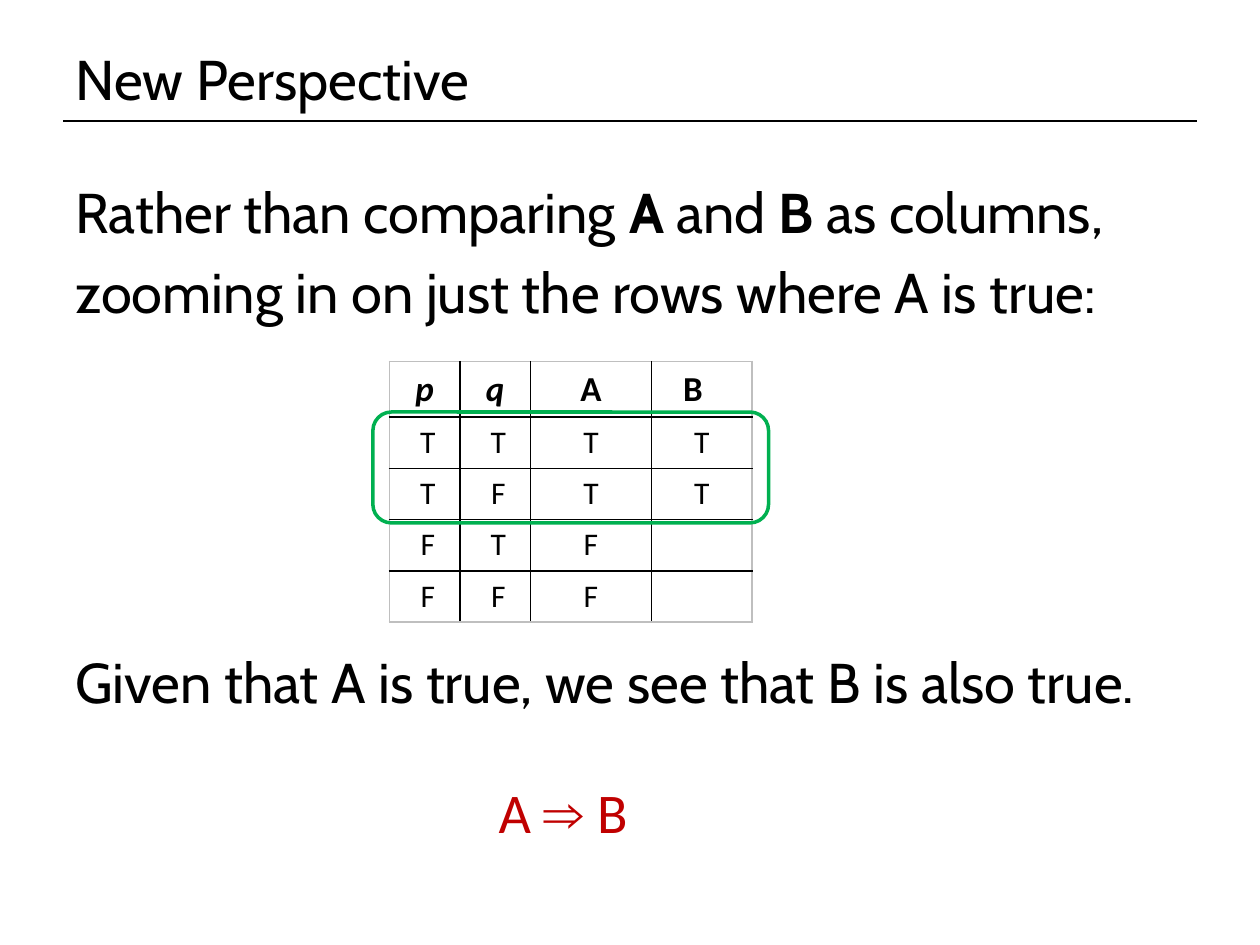
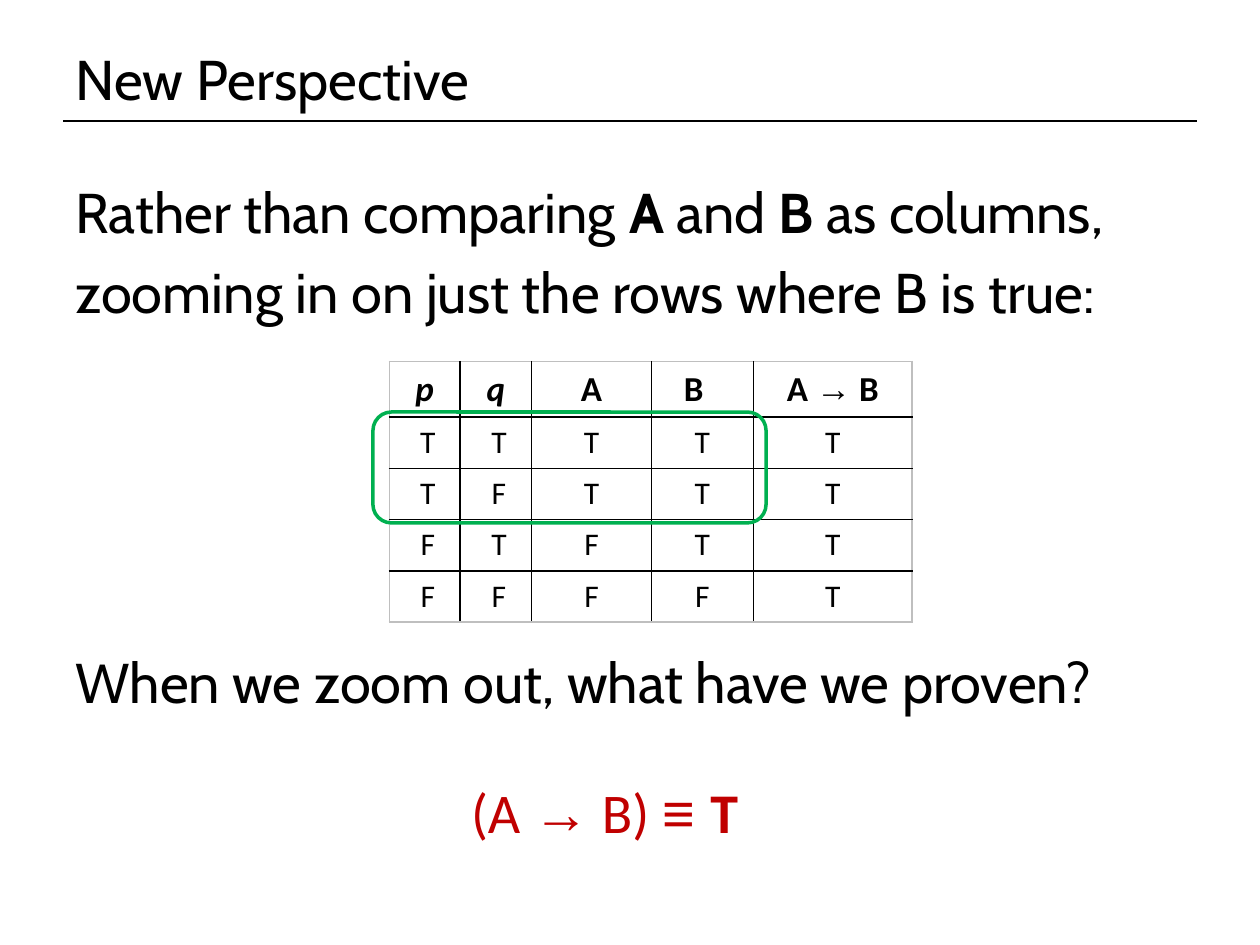
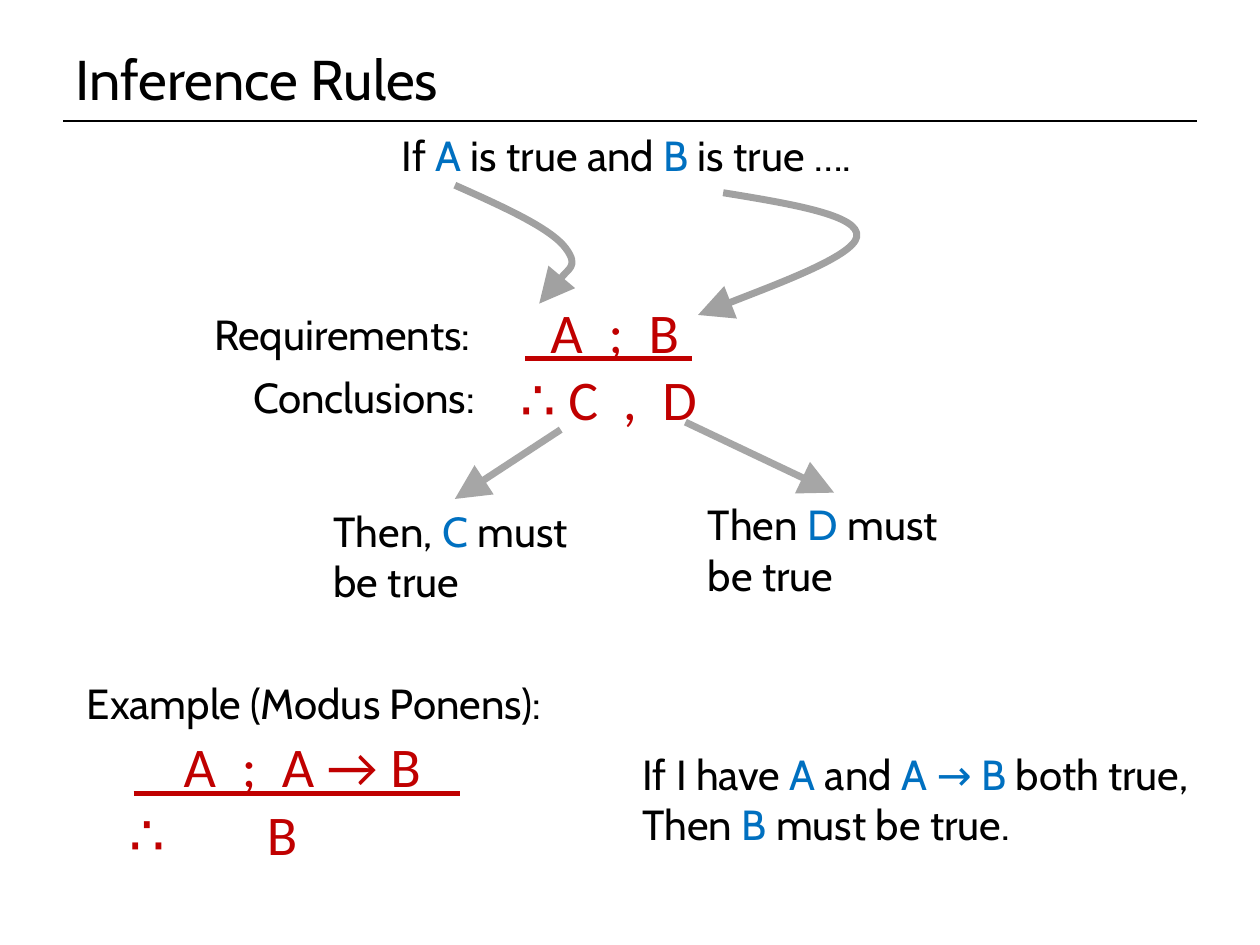
"""Build three slides on implication and inference rules."""
import dataclasses
import typing

import lxml.etree
import pptx
import pptx.dml.color
import pptx.enum.shapes
import pptx.enum.text
import pptx.oxml.ns
import pptx.util

COLORS = {"black": "000000", "red": "C00000", "blue": "0070C0", "green": "00B050",
          "arrow": "A6A6A6", "table edge": "BFBFBF"}
SLIDE_WIDTH, SLIDE_HEIGHT = pptx.util.Inches(10), pptx.util.Inches(7.5)
GRID_COLUMNS, GRID_ROWS = 100, 75
TITLE_ONLY = 5

BODY = {"name": "Cabin", "size": pptx.util.Pt(32), "color": "black"}
STRONG = BODY | {"bold": True}
LABEL = BODY | {"size": pptx.util.Pt(24)}
LETTER = LABEL | {"color": "blue"}
FORMULA = {"name": "Calibri", "size": pptx.util.Pt(32), "color": "red"}
SYMBOL = FORMULA | {"name": "Arial"}
VALUE = {"name": "Calibri", "size": pptx.util.Pt(18), "color": "black", "bold": False}
HEADING = VALUE | {"size": pptx.util.Pt(20), "bold": True}
VARIABLE = HEADING | {"italic": True}
HEADING_ARROW = HEADING | {"name": "Arial"}

Run = tuple[str, dict]
Point = tuple[float, float]


@dataclasses.dataclass
class Box:
    """A rectangle in grid columns and rows."""
    left: float
    top: float
    width: float
    height: float

    def place(self) -> tuple[int, int, int, int]:
        """Return the rectangle in slide units."""
        return column(self.left), row(self.top), column(self.width), row(self.height)


@dataclasses.dataclass
class Line:
    """One paragraph with its space before and its tab stops in columns."""
    runs: list[Run]
    before: float = 0
    tabs: tuple[float, ...] = ()


@dataclasses.dataclass
class TextBlock:
    """A text box and its lines."""
    box: Box
    lines: list[Line]
    wrap: bool = False


@dataclasses.dataclass
class TruthSlide:
    """A slide that zooms in on some rows of a truth table."""
    zoomed: str
    remark: str
    widths: list[float]
    headings: list[list[Run]]
    rows: list[str]
    frame_width: float
    formula: TextBlock


def column(count: float) -> int:
    """Turn grid columns into slide units."""
    return round(SLIDE_WIDTH * count / GRID_COLUMNS)


def row(count: float) -> int:
    """Turn grid rows into slide units."""
    return round(SLIDE_HEIGHT * count / GRID_ROWS)


def rgb(name: str) -> pptx.dml.color.RGBColor:
    """Look up a named colour."""
    return pptx.dml.color.RGBColor.from_string(COLORS[name])


def add_element(parent: typing.Any, tag: str, **attributes: typing.Any) -> typing.Any:
    """Append a drawing element with its attributes."""
    values = {key: str(value) for key, value in attributes.items()}
    return lxml.etree.SubElement(parent, pptx.oxml.ns.qn(tag), values)


def add_arrowhead(line: typing.Any) -> None:
    """End a line with a large triangle."""
    add_element(line._ln, "a:tailEnd", type="triangle", w="lg", len="lg")


def set_values(target: typing.Any, values: dict) -> None:
    """Set each attribute, and the colour by its name."""
    for name, value in values.items():
        if name == "color":
            target.color.rgb = rgb(value)
        else:
            setattr(target, name, value)


def write_runs(paragraph: typing.Any, runs: list[Run]) -> None:
    """Add formatted runs to a paragraph."""
    for text, style in runs:
        run = paragraph.add_run()
        run.text = text
        set_values(run.font, style)


def add_text(slide: typing.Any, block: TextBlock) -> None:
    """Draw a text box."""
    frame = slide.shapes.add_textbox(*block.box.place()).text_frame
    sizes = pptx.enum.text.MSO_AUTO_SIZE
    set_values(frame, {"word_wrap": block.wrap,
                       "auto_size": sizes.NONE if block.wrap else sizes.SHAPE_TO_FIT_TEXT})
    for index, line in enumerate(block.lines):
        paragraph = frame.add_paragraph() if index else frame.paragraphs[0]
        if line.tabs:
            stops = add_element(paragraph._p.get_or_add_pPr(), "a:tabLst")
            for tab in line.tabs:
                add_element(stops, "a:tab", pos=column(tab), algn="l")
        if line.before:
            paragraph.space_before = pptx.util.Pt(line.before)
        write_runs(paragraph, line.runs)


def add_line(slide: typing.Any, start: Point, end: Point, color: str, width: float,
             arrow: bool = False) -> None:
    """Draw a straight line, with an arrowhead if asked."""
    connector = slide.shapes.add_connector(
        pptx.enum.shapes.MSO_CONNECTOR.STRAIGHT,
        column(start[0]), row(start[1]), column(end[0]), row(end[1]))
    set_values(connector.line, {"color": color, "width": pptx.util.Pt(width)})
    if arrow:
        add_arrowhead(connector.line)
    add_element(connector._element.spPr, "a:effectLst")


def add_curved_arrow(slide: typing.Any, start: Point, curves: list[list[Point]]) -> None:
    """Draw a translucent arrow through cubic curves."""
    points = [[(column(x), row(y)) for x, y in curve] for curve in curves]
    builder = slide.shapes.build_freeform(column(start[0]), row(start[1]))
    builder.add_line_segments([curve[-1] for curve in points], close=False)
    shape = builder.convert_to_shape()
    shape.shadow.inherit = False
    shape.fill.background()
    set_values(shape.line, {"color": "black", "width": pptx.util.Pt(4)})
    solid_color = shape.line._ln.find(".//" + pptx.oxml.ns.qn("a:srgbClr"))
    add_element(solid_color, "a:alpha", val=37000)
    add_arrowhead(shape.line)
    segments = list(shape._element.iter(pptx.oxml.ns.qn("a:lnTo")))
    for segment, curve in zip(segments, points):
        bezier = add_element(segment.getparent(), "a:cubicBezTo")
        for x, y in curve:
            add_element(bezier, "a:pt", x=x - shape.left, y=y - shape.top)
        segment.getparent().remove(segment)


def add_titled_slide(presentation: typing.Any, title: str) -> typing.Any:
    """Add a slide with its title and the rule below it."""
    slide = presentation.slides.add_slide(presentation.slide_layouts[TITLE_ONLY])
    shape = slide.shapes.title
    shape.left, shape.top, shape.width, shape.height = Box(5, 2.8, 90, 6.6).place()
    set_values(shape.text_frame, {"vertical_anchor": pptx.enum.text.MSO_ANCHOR.BOTTOM,
                                  "word_wrap": True})
    paragraph = shape.text_frame.paragraphs[0]
    paragraph.alignment = pptx.enum.text.PP_ALIGN.LEFT
    write_runs(paragraph, [(title, BODY)])
    add_line(slide, (5, 9.6), (95, 9.6), "black", 1.5)
    return slide


def fill_cell(cell: typing.Any, runs: list[Run], edges: dict[str, str],
              margins: dict[str, int]) -> None:
    """Write a centred cell with borders and no fill."""
    for tag, color in edges.items():
        border = add_element(cell._tc.get_or_add_tcPr(), tag, w=pptx.util.Pt(1))
        add_element(add_element(border, "a:solidFill"), "a:srgbClr", val=COLORS[color])
    cell.fill.background()
    set_values(cell, margins | {"vertical_anchor": pptx.enum.text.MSO_ANCHOR.TOP})
    paragraph = cell.text_frame.paragraphs[0]
    paragraph.alignment = pptx.enum.text.PP_ALIGN.CENTER
    write_runs(paragraph, runs)


def add_truth_table(slide: typing.Any, content: TruthSlide) -> None:
    """Draw a truth table, one letter per value."""
    grid = [content.headings] + [[[(value, VALUE)] if value.strip() else [] for value in values]
                                 for values in content.rows]
    last_row, last_column = len(grid) - 1, len(content.widths) - 1
    box = Box(30.9, 28.7, sum(content.widths), 4.07 * len(grid))
    table = slide.shapes.add_table(len(grid), len(content.widths), *box.place()).table
    set_values(table, {"first_row": False, "horz_banding": False})
    for table_column, width in zip(table.columns, content.widths):
        table_column.width = column(width)
    for y, cells in enumerate(grid):
        for x, runs in enumerate(cells):
            outside = {"a:lnL": x == 0, "a:lnR": x == last_column,
                       "a:lnT": y == 0, "a:lnB": y == last_row}
            edges = {tag: "table edge" if outer else "black" for tag, outer in outside.items()}
            margins = {}
            if y == 0 and x == 3:
                margins["margin_right"] = column(2.4)
            elif y and x < 2:
                margins["margin_left"] = column(1.5)
            fill_cell(table.cell(y, x), runs, edges, margins)


def add_truth_slide(presentation: typing.Any, content: TruthSlide) -> None:
    """Build a slide around a truth table."""
    slide = add_titled_slide(presentation, "New Perspective")
    add_text(slide, TextBlock(Box(5, 13.6, 90, 56.2), [
        Line([("Rather than comparing ", BODY), ("A", STRONG), (" and ", BODY), ("B", STRONG),
              (" as columns,", BODY)]),
        Line([(f"zooming in on just the rows where {content.zoomed} is true:", BODY)], 7),
        Line([(content.remark, BODY)], 185)], wrap=True))
    add_truth_table(slide, content)
    frame = slide.shapes.add_shape(pptx.enum.shapes.MSO_SHAPE.ROUNDED_RECTANGLE,
                                   *Box(29.6, 32.7, content.frame_width, 8.8).place())
    frame.shadow.inherit = False
    frame.fill.background()
    set_values(frame.line, {"color": "green", "width": pptx.util.Pt(2)})
    add_text(slide, content.formula)


def add_inference_slide(presentation: typing.Any) -> None:
    """Build the slide on inference rules."""
    slide = add_titled_slide(presentation, "Inference Rules")
    add_curved_arrow(slide, (36.1, 14.7), [[(39.9, 16.4), (43.7, 18.1), (44.9, 19.7)],
                                           [(46, 21.2), (42.8, 24.1), (42.8, 24.1)]])
    add_curved_arrow(slide, (57.4, 15.3), [[(62.9, 16.2), (68.3, 17.1), (68, 18.8)],
                                           [(67.7, 20.4), (55.4, 25), (55.4, 25)]])
    for start, end in [((54.4, 33.5), (66.2, 39.1)), ((44.5, 34.1), (36.1, 39.6))]:
        add_line(slide, start, end, "arrow", 4, arrow=True)
    for left, right, level in [(41.7, 54.9, 28.45), (10.6, 36.5, 63)]:
        add_line(slide, (left, level), (right, level), "red", 3)
    blocks = [
        TextBlock(Box(40.3, 23.1, 17, 11.8), [
            Line([("\tA\t;\tB", FORMULA)], tabs=(2.4, 7, 10.2)),
            Line([("∴ C\t,\tD", FORMULA)], tabs=(8.15, 11.3))], wrap=True),
        TextBlock(Box(9.3, 57.6, 29, 11.8), [
            Line([("\tA\t;\tA → B", FORMULA)], tabs=(4.3, 8.9, 12.1)),
            Line([("∴\tB", FORMULA)], tabs=(10.9,))], wrap=True),
        TextBlock(Box(16, 24, 23.2, 5), [Line([("Requirements:", LABEL)])]),
        TextBlock(Box(19.1, 29, 20.1, 5), [Line([("Conclusions:", LABEL)])]),
        TextBlock(Box(30.9, 9.8, 39.9, 5), [
            Line([("If ", LABEL), ("A", LETTER), (" is true and ", LABEL), ("B", LETTER),
                  (" is true ….", LABEL)])]),
        TextBlock(Box(25.5, 39.6, 21.3, 9.1), [
            Line([("Then, ", LABEL), ("C", LETTER), (" must be true", LABEL)])], wrap=True),
        TextBlock(Box(55.2, 39.1, 21.9, 9.1), [
            Line([("Then ", LABEL), ("D ", LETTER), ("must be true", LABEL)])], wrap=True),
        TextBlock(Box(5.9, 53.3, 39.2, 5), [Line([("Example (Modus Ponens):", LABEL)])]),
        TextBlock(Box(50, 58.9, 47.3, 9.1), [
            Line([("If I have ", LABEL), ("A", LETTER), (" and ", LABEL), ("A → B", LETTER),
                  (" both true,", LABEL)]),
            Line([("Then ", LABEL), ("B", LETTER), (" must be true.", LABEL)])]),
    ]
    for block in blocks:
        add_text(slide, block)


def main() -> None:
    """Build and save the presentation."""
    presentation = pptx.Presentation()
    set_values(presentation, {"slide_width": SLIDE_WIDTH, "slide_height": SLIDE_HEIGHT})
    headings = [[("p", VARIABLE)], [("q", VARIABLE)], [("A", HEADING)], [("B", HEADING)]]
    implication = [("A ", HEADING), ("→", HEADING_ARROW), (" B", HEADING)]
    add_truth_slide(presentation, TruthSlide(
        "A", "Given that A is true, we see that B is also true.",
        [5.6, 5.6, 9.6, 8], headings, ["TTTT", "TFTT", "FTF ", "FFF "], 31.4,
        TextBlock(Box(38.6, 61.2, 13, 6.4), [
            Line([("A ", FORMULA), ("⇒", SYMBOL), (" B", FORMULA)])])))
    add_truth_slide(presentation, TruthSlide(
        "B", "When we zoom out, what have we proven?",
        [5.6, 5.7, 9.5, 8.1, 12.6], headings + [implication],
        ["TTTTT", "TFTTT", "FTFTT", "FFFFT"], 31.2,
        TextBlock(Box(36.4, 61.2, 26, 6.4), [
            Line([("(A ", FORMULA), ("→", SYMBOL), (" B) ", FORMULA), ("≡ ", SYMBOL),
                  ("T", FORMULA | {"bold": True})])], wrap=True)))
    add_inference_slide(presentation)
    presentation.save("out.pptx")


if __name__ == "__main__":
    main()
